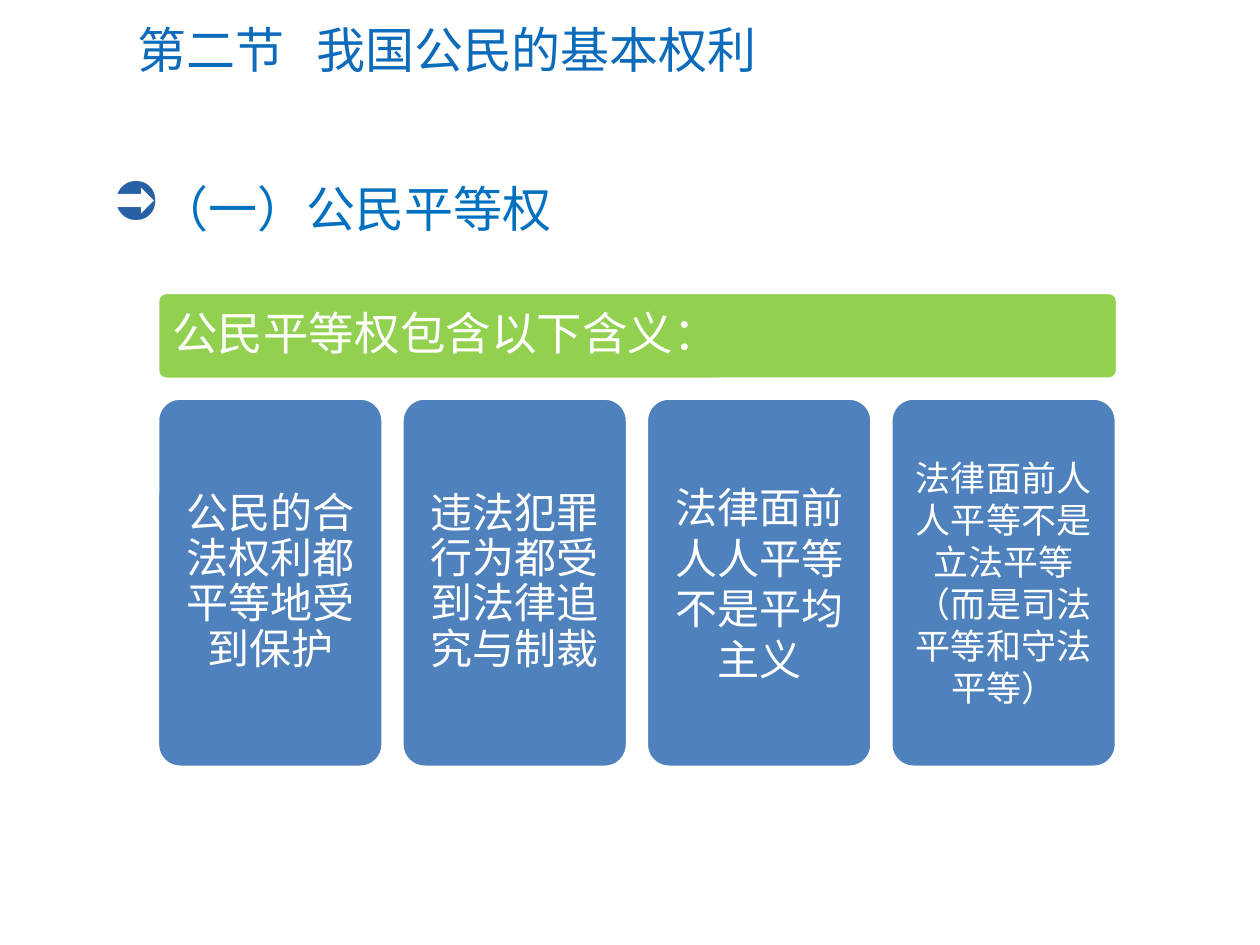
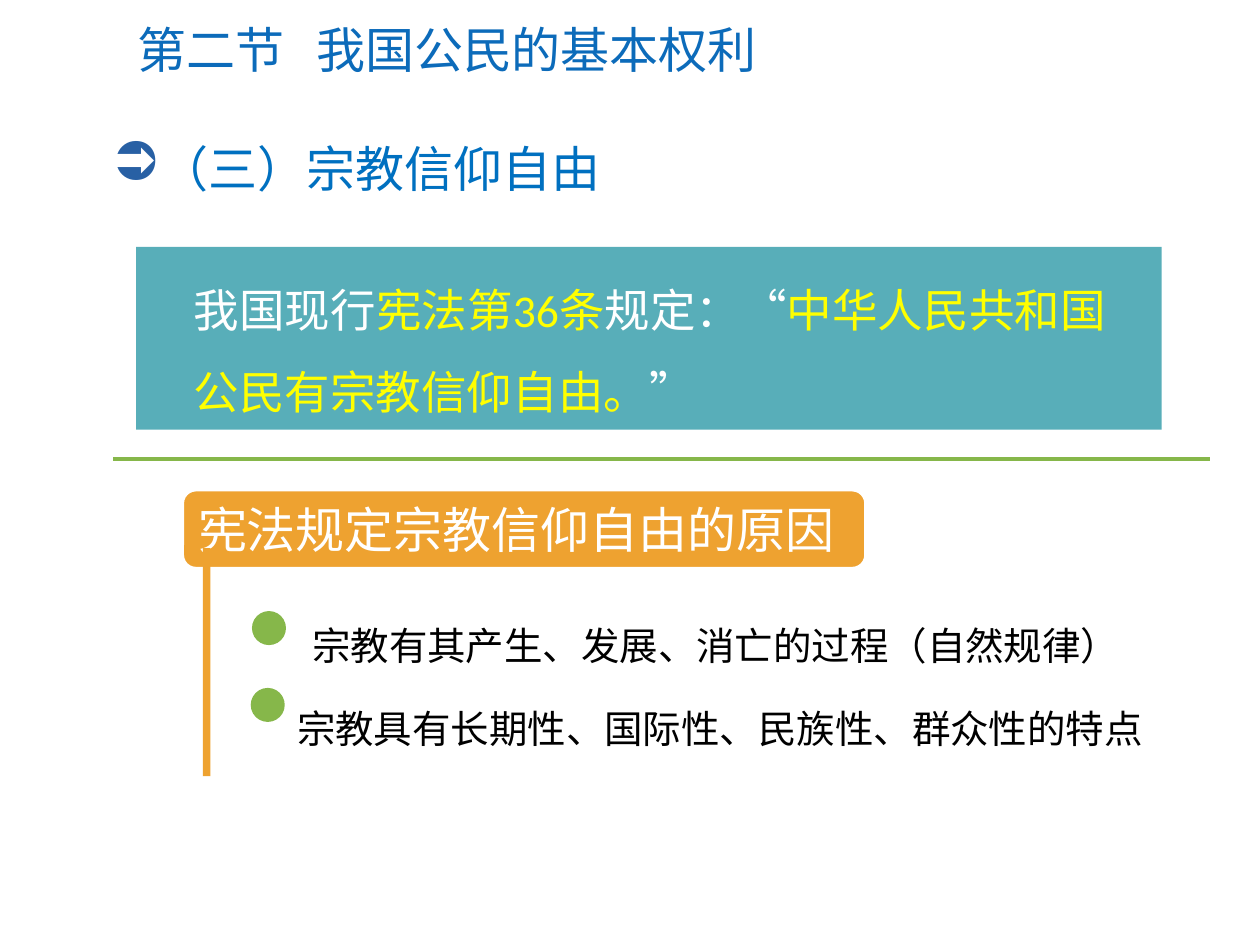
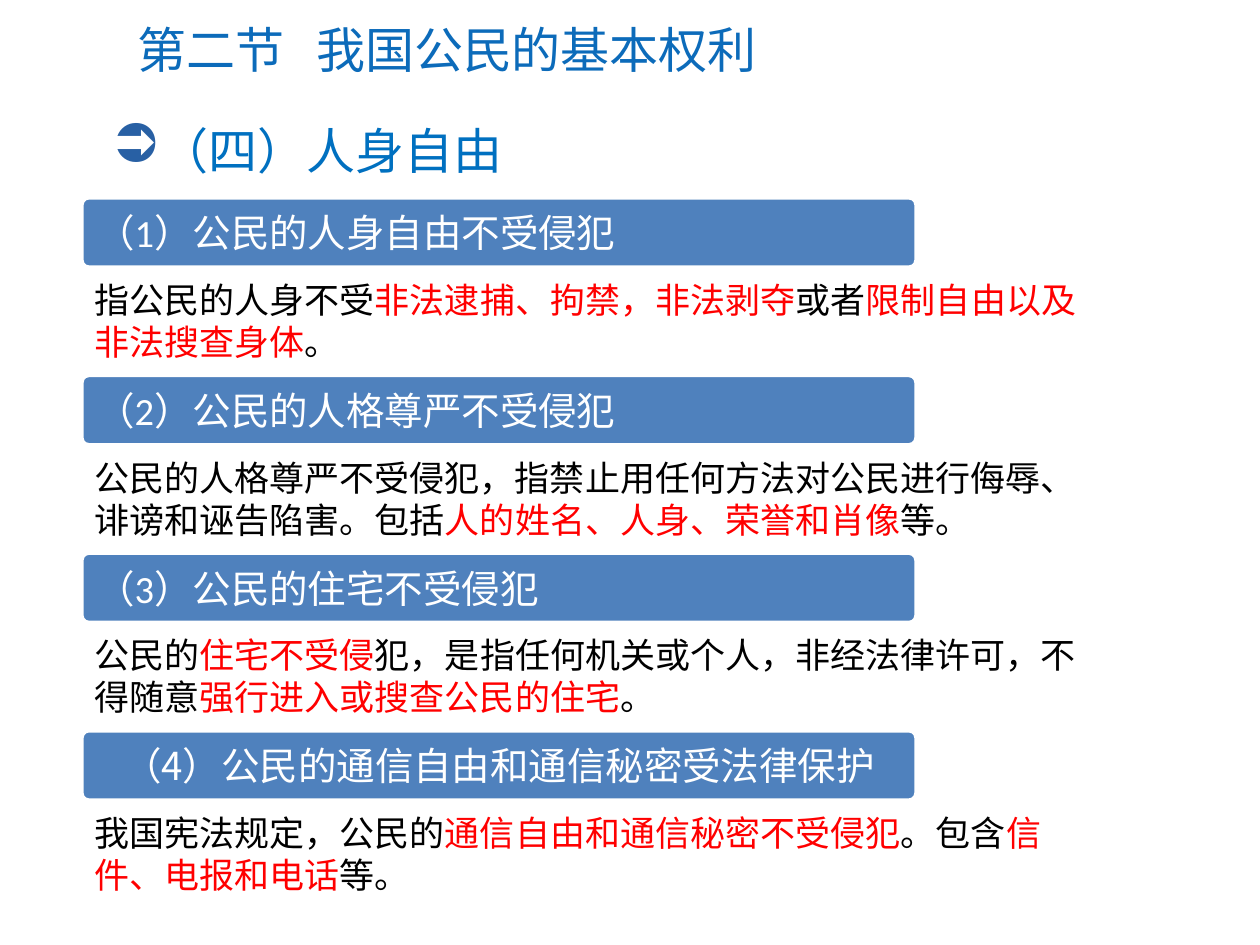
from lxml.etree import SubElement
from pptx import Presentation
from pptx.dml.color import RGBColor
from pptx.enum.shapes import MSO_CONNECTOR, MSO_SHAPE
from pptx.enum.text import MSO_ANCHOR, PP_ALIGN
from pptx.oxml.ns import qn
from pptx.util import Inches, Pt

# Shared colours and fonts
TITLE, HEAD, BULLET = "0C6BBA", "0070C0", "2860A4"
WHITE, BLACK, RED, YELLOW = "FFFFFF", "000000", "FF0000", "FFFF00"
BLUE, LIME, TEAL, GREEN, ORANGE = "4F81BD", "92D050", "58AEB9", "86B74A", "EEA230"
CALIBRI, NOTO = "Calibri", "Noto Sans CJK SC"


def color(code):
    return RGBColor.from_string(code)


def inches(box):
    return [Inches(n) for n in box]


def write(frame, text, size, font, tint, accent=None, align=PP_ALIGN.LEFT, spacing=1.0):
    """Write one paragraph; parts between bars take the accent colour."""
    para = frame.paragraphs[0]
    para.alignment = align
    para.line_spacing = spacing
    for i, part in enumerate(text.split("|")):
        run = para.add_run()
        run.text = part
        run.font.size = Pt(size)
        run.font.name = font
        run.font.color.rgb = color(accent if i % 2 else tint)


def add_text(slide, box, *args, **style):
    frame = slide.shapes.add_textbox(*inches(box)).text_frame
    frame.word_wrap = True
    write(frame, *args, **style)
    return frame


def add_block(slide, kind, box, fill, edge=None):
    """Add a filled shape, with a white edge if a width is given."""
    block = slide.shapes.add_shape(kind, *inches(box))
    block.shadow.inherit = False
    block.fill.solid()
    block.fill.fore_color.rgb = color(fill)
    if edge:
        block.line.color.rgb = color(WHITE)
        block.line.width = Pt(edge)
    else:
        block.line.fill.background()
    return block


def add_panel(slide, box, fill, text, size, font=CALIBRI, curve=0.1, inset=0.1, edge=2, **style):
    """Add a rounded panel with white text."""
    panel = add_block(slide, MSO_SHAPE.ROUNDED_RECTANGLE, box, fill, edge)
    panel.adjustments[0] = curve
    frame = panel.text_frame
    frame.word_wrap = True
    frame.margin_left = frame.margin_right = Inches(inset)
    frame.vertical_anchor = MSO_ANCHOR.MIDDLE
    write(frame, text, size, font, WHITE, **style)


def add_head(slide, top, text):
    """Add the section heading with its arrow bullet."""
    frame = add_text(slide, (0.79, top, 8.34, 0.57), text, 28, CALIBRI, HEAD)
    props = frame.paragraphs[0]._p.get_or_add_pPr()
    props.set("marL", str(Inches(0.38)))
    props.set("indent", str(Inches(-0.38)))
    tint = SubElement(props, qn("a:buClr"))
    SubElement(tint, qn("a:srgbClr"), val=BULLET)
    SubElement(props, qn("a:buSzPct"), val="110000")
    SubElement(props, qn("a:buChar"), char="➲")


def add_slide(deck, top, head):
    """Add a slide with the chapter title and a section heading."""
    slide = deck.slides.add_slide(deck.slide_layouts[5])
    title = slide.shapes.title
    title.left, title.top, title.width, title.height = inches((0.99, 0.1, 8.72, 0.58))
    frame = title.text_frame
    frame.vertical_anchor = MSO_ANCHOR.MIDDLE
    write(frame, "第二节\t我国公民的基本权利", 28, CALIBRI, TITLE)
    tabs = SubElement(frame.paragraphs[0]._p.get_or_add_pPr(), qn("a:tabLst"))
    SubElement(tabs, qn("a:tab"), pos=str(Inches(1.42)), algn="l")
    add_head(slide, top, head)
    return slide


def add_rule(slide, left, right, top):
    rule = slide.shapes.add_connector(MSO_CONNECTOR.STRAIGHT, *inches((left, top, right, top)))
    rule.line.color.rgb = color(GREEN)
    rule.line.width = Pt(2.25)
    SubElement(rule._element.spPr, qn("a:effectLst"))


def add_equal(deck):
    slide = add_slide(deck, 1.37, "（一）公民平等权")
    add_panel(slide, (1.25, 2.32, 7.62, 0.69), LIME, "公民平等权包含以下含义：", 26, spacing=0.9)
    cards = [
        ("公民的合法权利都平等地受到保护", 24, CALIBRI, 0.9),
        ("违法犯罪行为都受到法律追究与制裁", 24, CALIBRI, 0.9),
        ("法律面前人人平等不是平均主义", 24, CALIBRI, 1.0),
        ("法律面前人人平等不是立法平等（而是司法平等和守法平等）", 20, NOTO, 1.0),
    ]
    for i, (text, size, font, spacing) in enumerate(cards):
        add_panel(slide, (1.25 + 1.94 * i, 3.16, 1.79, 2.93), BLUE, text, size, font,
                  align=PP_ALIGN.CENTER, spacing=spacing)


def add_faith(deck):
    slide = add_slide(deck, 1.05, "（三）宗教信仰自由")
    # Quoted article
    add_block(slide, MSO_SHAPE.RECTANGLE, (1.08, 1.96, 8.14, 1.45), TEAL)
    add_text(slide, (1.44, 1.97, 7.68, 1.41),
             "我国现行|宪法第36条|规定：“|中华人民共和国公民有宗教信仰自由。|”",
             26, CALIBRI, WHITE, YELLOW, spacing=1.5)
    add_rule(slide, 0.9, 9.6, 3.64)
    # Reasons
    add_panel(slide, (1.44, 3.88, 5.44, 0.64), ORANGE, "宪法规定宗教信仰自由的原因",
              28, NOTO, curve=0.18, edge=3)
    add_block(slide, MSO_SHAPE.RECTANGLE, (1.61, 4.35, 0.06, 1.81), ORANGE)
    reasons = [
        ("宗教有其产生、发展、消亡的过程（自然规律）", (2, 4.85), (2.38, 4.52, 7.43, 0.71)),
        ("宗教具有长期性、国际性、民族性、群众性的特点", (1.99, 5.46), (2.26, 5.18, 6.94, 0.84)),
    ]
    for text, dot, box in reasons:
        add_block(slide, MSO_SHAPE.OVAL, (*dot, 0.27, 0.27), GREEN)
        add_text(slide, box, text, 22, NOTO, BLACK, spacing=2.0)


def add_person(deck):
    slide = add_slide(deck, 0.91, "（四）人身自由")
    left, center = PP_ALIGN.LEFT, PP_ALIGN.CENTER
    rights = [
        ("（1）公民的人身自由不受侵犯", CALIBRI, left, 8.05,
         "指公民的人身不受|非法逮捕、拘禁，非法剥夺|或者|限制自由以及非法搜查身体|。"),
        ("（2）公民的人格尊严不受侵犯", CALIBRI, left, 7.8,
         "公民的人格尊严不受侵犯，指禁止用任何方法对公民进行侮辱、诽谤和诬告陷害。包括"
         "|人的姓名、人身、荣誉和肖像|等。"),
        ("（3）公民的住宅不受侵犯", CALIBRI, left, 8.05,
         "公民的|住宅不受侵|犯，是指任何机关或个人，非经法律许可，不得随意"
         "|强行进入或搜查公民的住宅|。"),
        ("（4）公民的通信自由和通信秘密受法律保护", NOTO, center, 7.8,
         "我国宪法规定，公民的|通信自由和通信秘密不受侵犯|。包含|信件、电报和电话|等。"),
    ]
    for i, (name, font, align, width, note) in enumerate(rights):
        top = 1.57 + 1.41 * i
        add_panel(slide, (0.65, top, 6.62, 0.55), BLUE, name, 22, font, align=align)
        add_text(slide, (0.65, top + 0.59, width, 0.77), note, 20, NOTO, BLACK, RED)


def main():
    deck = Presentation()
    deck.slide_width, deck.slide_height = Inches(10), Inches(7.5)
    add_equal(deck)
    add_faith(deck)
    add_person(deck)
    deck.save("out.pptx")


if __name__ == "__main__":
    main()
